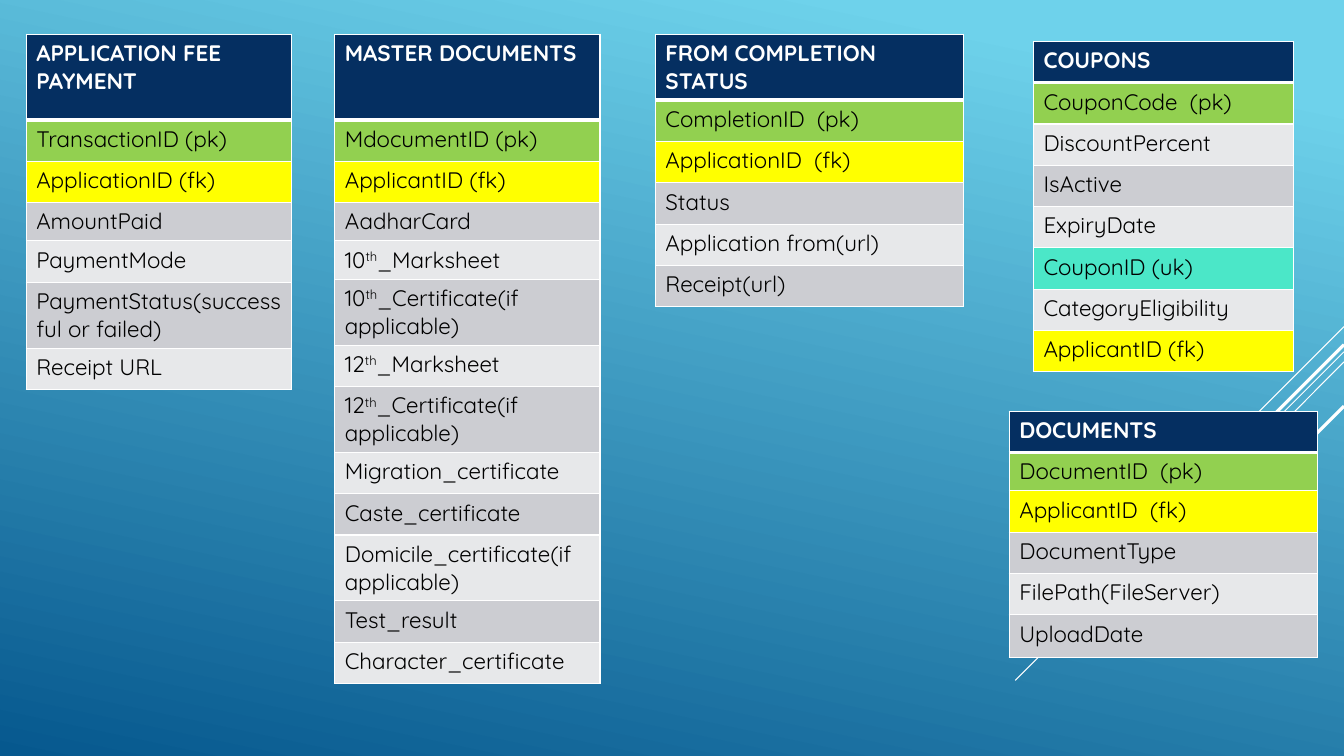
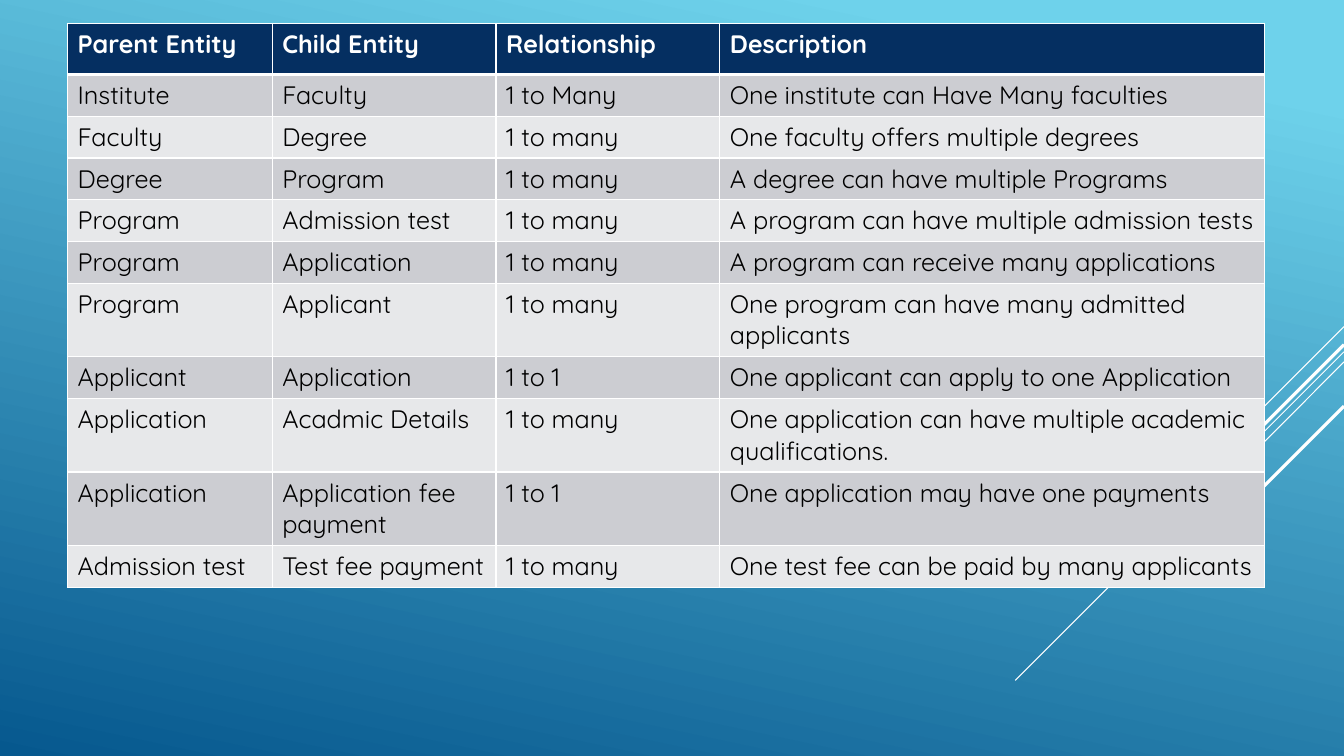
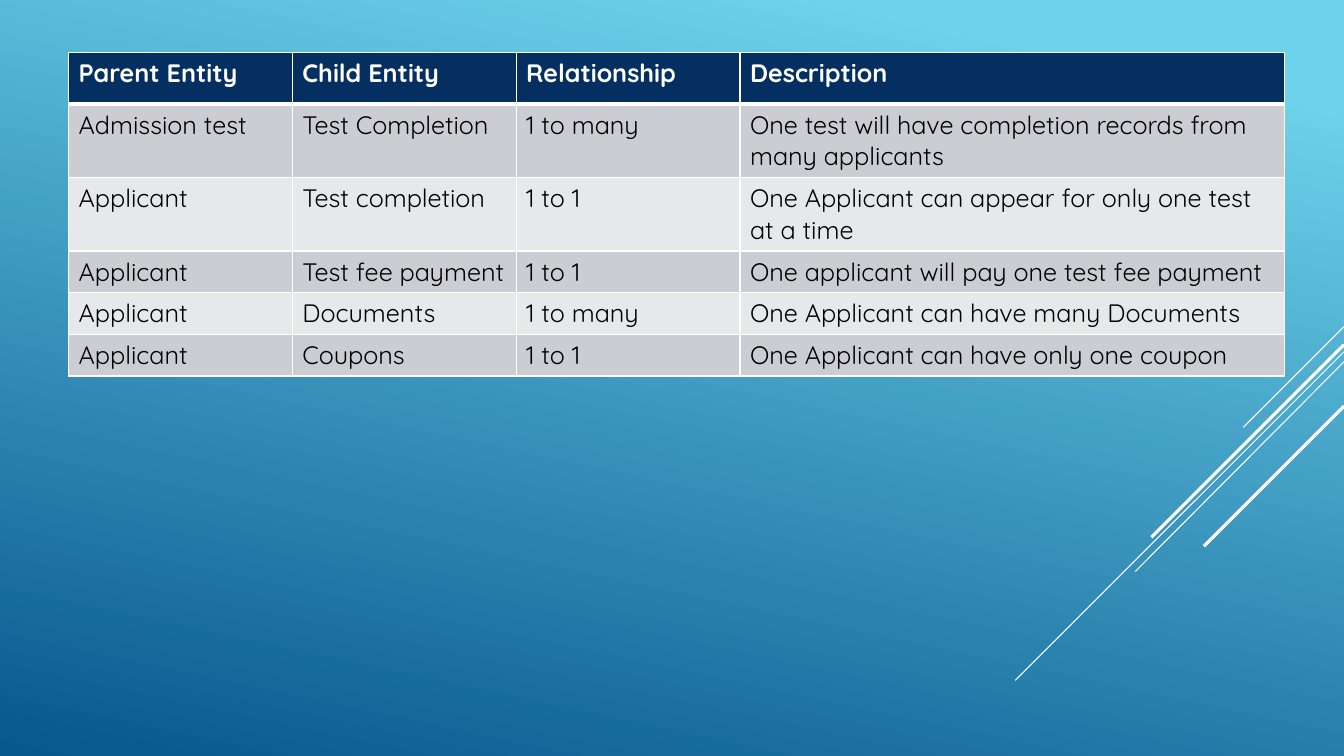
from lxml import etree
from pptx import Presentation
from pptx.dml.color import RGBColor
from pptx.enum import shapes
from pptx.oxml.ns import qn
from pptx.util import Inches, Pt

HUES = {
    "sky": "6ED2EB", "deep": "06588E", "navy": "052F61",
    "white": "FFFFFF", "black": "000000",
    "dark": "CCCDD2", "light": "E7E8EA",
    "pk": "92D050", "fk": "FFFF00", "uk": "4BE7C8",
}
FONT = "Quicksand"
ROW = 0.41


def hue(name):
    return RGBColor.from_string(HUES[name])


def add_grid(slide, left, top, widths, rows, size, tall):
    """Draw a table; tall maps a row number to a height other than ROW.

    Text between two ^ marks is raised.
    """
    highs = [tall.get(i, ROW) for i in range(len(rows))]
    grid = slide.shapes.add_table(
        len(rows), len(widths), Inches(left), Inches(top),
        Inches(sum(widths)), Inches(sum(highs))).table
    for col, width in zip(grid.columns, widths):
        col.width = Inches(width)
    for i, row in enumerate(rows):
        grid.rows[i].height = Inches(highs[i])
        for j, words in enumerate(row):
            cell = grid.cell(i, j)

            # Borders, thick below the header
            props = cell._tc.get_or_add_tcPr()
            for side in "LRTB":
                thick = (side, i) in (("B", 0), ("T", 1))
                edge = etree.SubElement(props, qn("a:ln" + side),
                                        w=str(Pt(3 if thick else 1)))
                paint = etree.SubElement(edge, qn("a:solidFill"))
                etree.SubElement(paint, qn("a:srgbClr"), val=HUES["white"])

            # Fill: header, then key colours, then bands
            key = words[-3:-1] if words.endswith(("(pk)", "(fk)", "(uk)")) else ""
            band = "dark" if i % 2 else "light"
            cell.fill.solid()
            cell.fill.fore_color.rgb = hue("navy" if i == 0 else key or band)

            # Text
            para = cell.text_frame.paragraphs[0]
            for n, part in enumerate(words.split("^")):
                run = para.add_run()
                run.text = part
                run.font.name = FONT
                run.font.size = Pt(size)
                run.font.bold = i == 0
                run.font.color.rgb = hue("black" if i else "white")
                if n % 2:
                    run._r.get_or_add_rPr().set("baseline", "30000")


deck = Presentation()
deck.slide_width, deck.slide_height = Inches(13.33), Inches(7.5)
blank = deck.slide_layouts[6]
keys, links, more = [deck.slides.add_slide(blank) for _ in range(3)]

# Master: background gradient
master = deck.slide_master
back = master.background.fill
back.gradient()
back.gradient_angle = 360 - 102
for stop, place, name in zip(back.gradient_stops, (0.1, 1), ("sky", "deep")):
    stop.position = place
    stop.color.rgb = hue(name)

# Master: diagonal lines from the right edge (start height, end x, end y, weight)
rays = [(3.24, 12.33, 4.24, 0.75), (3.49, 10.07, 6.75, 0.75),
        (3.59, 11.26, 5.67, 0.75), (3.42, 11.42, 5.33, 2.25),
        (4.03, 11.94, 5.42, 2.25)]
for n, (y, endx, endy, weight) in enumerate(rays):
    ray = keys.shapes.add_connector(
        shapes.MSO_CONNECTOR.STRAIGHT, Inches(13.33), Inches(y),
        Inches(endx), Inches(endy))
    ray.line.color.rgb = hue("white")
    ray.line.width = Pt(weight)
    etree.SubElement(ray.element.spPr, qn("a:effectLst"))
    ray.element.nvCxnSpPr.cNvPr.set("id", str(20 + n))
    master.shapes.element.append(ray.element)

# Slide 1: entities (left, top, width, row heights, rows)
cards = [
    (0.26, 0.34, 2.63, {0: 0.85, 3: 0.38, 5: 0.65}, [
        "APPLICATION FEE PAYMENT", "TransactionID (pk)", "ApplicationID (fk)",
        "AmountPaid", "PaymentMode", "PaymentStatus(successful or failed)",
        "Receipt URL"]),
    (3.32, 0.34, 2.63,
     {0: 0.85, 3: 0.38, 4: 0.38, 5: 0.65, 7: 0.65, 10: 0.65}, [
        "MASTER DOCUMENTS", "MdocumentID (pk)", "ApplicantID (fk)",
        "AadharCard", "10^th^_Marksheet", "10^th^_Certificate(if applicable)",
        "12^th^_Marksheet", "12^th^_Certificate(if applicable)",
        "Migration_certificate", "Caste_certificate",
        "Domicile_certificate(if applicable)", "Test_result",
        "Character_certificate"]),
    (6.5, 0.34, 3.06, {0: 0.65}, [
        "FROM COMPLETION STATUS", "CompletionID  (pk)", "ApplicationID  (fk)",
        "Status", "Application from(url)", "Receipt(url)"]),
    (10.25, 0.41, 2.58, {}, [
        "COUPONS", "CouponCode  (pk)", "DiscountPercent", "IsActive",
        "ExpiryDate", "CouponID (uk)", "CategoryEligibility",
        "ApplicantID (fk)"]),
    (10.01, 4.08, 3.06, {1: 0.38, 5: 0.42}, [
        "DOCUMENTS", "DocumentID  (pk)", "ApplicantID  (fk)", "DocumentType",
        "FilePath(FileServer)", "UploadDate"]),
]
for left, top, width, tall, names in cards:
    add_grid(keys, left, top, [width], [[name] for name in names], 16, tall)

# Slides 2 and 3: relationships
head = ("Parent Entity", "Child Entity", "Relationship", "Description")
first = [
    ("Institute", "Faculty", "1 to Many", "One institute can Have Many faculties"),
    ("Faculty", "Degree", "1 to many", "One faculty offers multiple degrees"),
    ("Degree", "Program", "1 to many", "A degree can have multiple Programs"),
    ("Program", "Admission test", "1 to many",
     "A program can have multiple admission tests"),
    ("Program", "Application", "1 to many",
     "A program can receive many applications"),
    ("Program", "Applicant", "1 to many",
     "One program can have many admitted applicants"),
    ("Applicant", "Application", "1 to 1",
     "One applicant can apply to one Application"),
    ("Application", "Acadmic Details", "1 to many",
     "One application can have multiple academic qualifications."),
    ("Application", "Application fee payment", "1 to 1",
     "One application may have one payments"),
    ("Admission test", "Test fee payment", "1 to many",
     "One test fee can be paid by many applicants"),
]
rest = [
    ("Admission test", "Test Completion", "1 to many",
     "One test will have completion records from many applicants"),
    ("Applicant", "Test completion", "1 to 1",
     "One Applicant can appear for only one test at a time"),
    ("Applicant", "Test fee payment", "1 to 1",
     "One applicant will pay one test fee payment"),
    ("Applicant", "Documents", "1 to many",
     "One Applicant can have many Documents"),
    ("Applicant", "Coupons", "1 to 1", "One Applicant can have only one coupon"),
]
for slide, left, top, lead, rows, pairs in (
        (links, 0.67, 0.23, 2.03, first, (6, 8, 9)),
        (more, 0.68, 0.52, 2.22, rest, (1, 2))):
    tall = {0: 0.51, **{i: 0.73 for i in pairs}}
    add_grid(slide, left, top, [lead, 2.22, 2.22, 5.4], [head] + rows, 18, tall)

deck.save("out.pptx")
